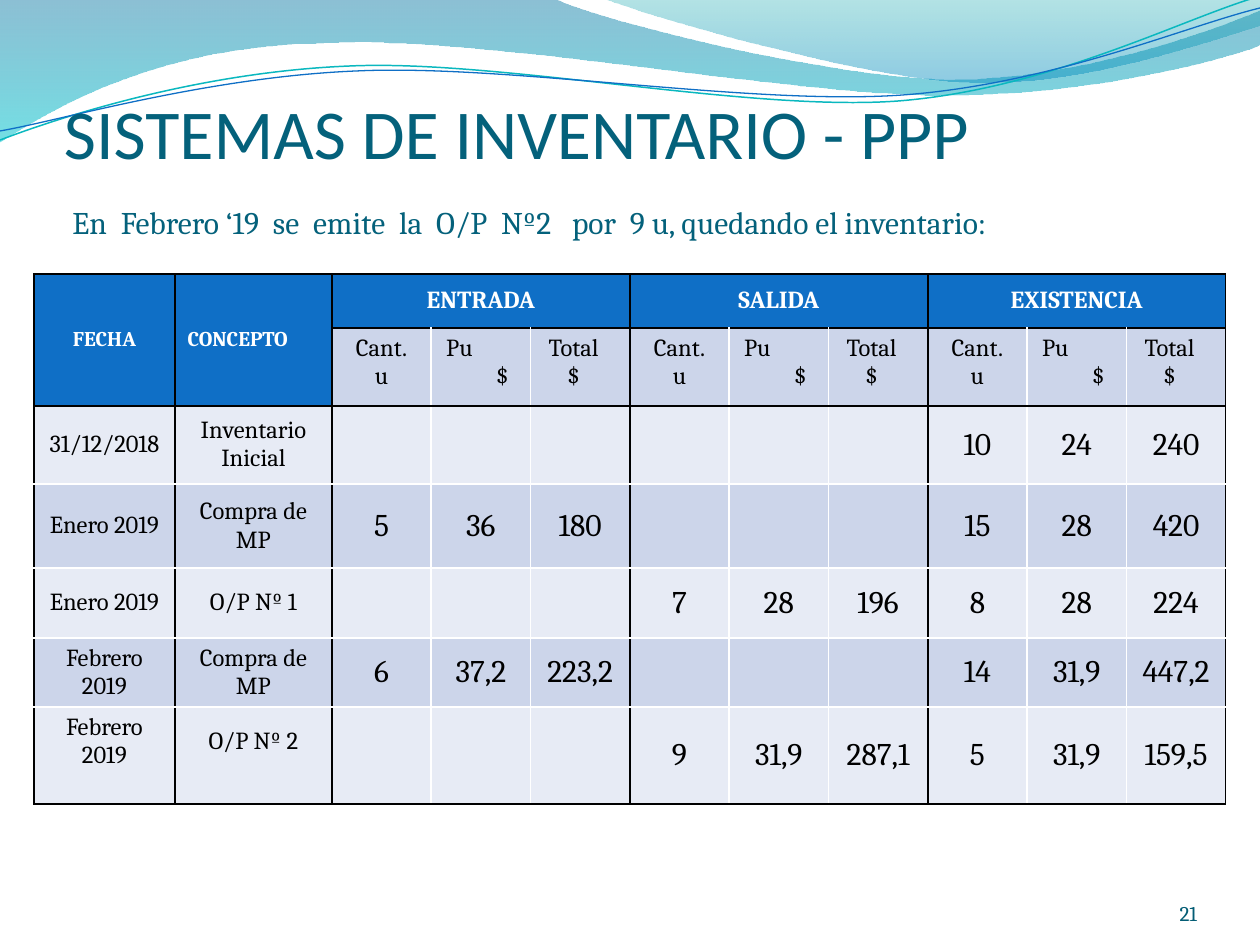
import lxml.etree
import pptx
import pptx.dml.color
import pptx.enum.text
import pptx.oxml.ns
import pptx.util

PX = 914400 // 126
ALIGN = pptx.enum.text.PP_ALIGN
ANCHOR = pptx.enum.text.MSO_ANCHOR
LEFT, CENTER, RIGHT = ALIGN.LEFT, ALIGN.CENTER, ALIGN.RIGHT

TITLE = "SISTEMAS DE INVENTARIO - PPP"
SUBTITLE = "En  Febrero ‘19  se  emite  la  O/P  Nº2   por  9 u, quedando el inventario:"
PAGE_NUMBER = "21"

# Each outline: a start point, then lines (one point) or curves (three points).
BANDS = [
    ([((0, 0),), ((555, -1),), ((600, 21), (837, 79), (955, 79)),
      ((1075, 79), (1207, 33), (1260, 11)), ((1261, 45),),
      ((1239, 55), (1096, 96), (940, 95)), ((784, 95), (481, 35), (324, 43)),
      ((163, 45), (58, 105), (-1, 142))],
     [("0074A1", 45), ("00C6CF", 55)]),
    ([((604, -1),), ((641, 14), (859, 78), (969, 82)),
      ((1083, 87), (1211, 40), (1260, 26)), ((1260, 0),)],
     [("00A1A9", 30), ("008BBF", 45)]),
]
WAVES = [
    ([((0, 140),), ((60, 117), (199, 72), (349, 66)),
      ((498, 59), (747, 112), (898, 101)), ((1049, 89), (1182, 19), (1257, -3))],
     "0AB8BF", 0.85),
    ([((0, 131),), ((59, 121), (207, 77), (357, 71)),
      ((508, 64), (752, 106), (903, 95)), ((1053, 84), (1186, 26), (1260, 8))],
     "0F6FC6", 0.75),
]

GROUPS = ["ENTRADA", "SALIDA", "EXISTENCIA"]
# Lines of each measure, then the side margins of its cell.
MEASURES = [
    ([("Cant.", CENTER), ("u", CENTER)], 13, 13),
    ([("Pu", LEFT), ("$", RIGHT)], 15, 22),
    ([("Total $", CENTER)], 13, 26),
]
NONE = ["", "", ""]
RECORDS = [
    ["31/12/2018", "Inventario Inicial", *NONE, *NONE, "10", "24", "240"],
    ["Enero 2019", "Compra de MP", "5", "36", "180", *NONE, "15", "28", "420"],
    ["Enero 2019", "O/P Nº 1", *NONE, "7", "28", "196", "8", "28", "224"],
    ["Febrero 2019", "Compra de MP", "6", "37,2", "223,2", *NONE, "14", "31,9", "447,2"],
    ["Febrero 2019", "O/P Nº 2", *NONE, "9", "31,9", "287,1", "5", "31,9", "159,5"],
]
GROUP_WIDTH = 298
COLUMN_WIDTHS = [141, 157] + [GROUP_WIDTH / 3] * 9
ROW_HEIGHTS = [54, 78, 78, 84, 70, 69, 97]
BLACK_COLUMN_LINES = {0, 1, 2, 5, 8, 11}
BLACK_ROW_LINES = {0, 1, 2, 7}


def rgb(value):
    return pptx.dml.color.RGBColor.from_string(value)


def add_child(parent, tag, **attributes):
    return lxml.etree.SubElement(parent, pptx.oxml.ns.qn(tag), attributes)


def add_outline(page, outline, close):
    """Draw through the end points, then bend the segments that are curves."""
    ends = [(part[-1][0] * PX, part[-1][1] * PX) for part in outline]
    builder = page.shapes.build_freeform(*ends[0], scale=1.0)
    builder.add_line_segments(ends[1:], close=close)
    shape = builder.convert_to_shape()
    shape.shadow.inherit = False
    segments = list(shape._element.spPr.iter(pptx.oxml.ns.qn("a:lnTo")))
    for segment, part in zip(segments, outline[1:]):
        if len(part) == 3:
            segment.tag = pptx.oxml.ns.qn("a:cubicBezTo")
            for position, (x, y) in enumerate(part[:2]):
                point = add_child(segment, "a:pt", x=str(x * PX - shape.left),
                                  y=str(y * PX - shape.top))
                segment.insert(position, point)
    return shape


def add_band(page, outline, stops):
    band = add_outline(page, outline, True)
    band.line.fill.background()
    band.fill.gradient()
    band.fill.gradient_angle = 270
    for stop, (color, _) in zip(band.fill.gradient_stops, stops):
        stop.color.rgb = rgb(color)
    colors = band._element.spPr.iter(pptx.oxml.ns.qn("a:srgbClr"))
    for element, (_, opacity) in zip(colors, stops):
        add_child(element, "a:alpha", val=str(opacity * 1000))


def add_wave(page, outline, color, width):
    wave = add_outline(page, outline, False)
    wave.fill.background()
    wave.line.color.rgb = rgb(color)
    wave.line.width = pptx.util.Pt(width)


def write(frame, lines, size, color, font="Cambria", bold=False):
    """Write (text, alignment) pairs as paragraphs."""
    for index, (text, alignment) in enumerate(lines):
        para = frame.add_paragraph() if index else frame.paragraphs[0]
        para.alignment = alignment
        span = para.add_run()
        span.text = text
        span.font.name, span.font.size, span.font.bold = font, pptx.util.Pt(size), bold
        span.font.color.rgb = rgb(color)


def place(shape, left, top, width, height):
    shape.left, shape.top, shape.width, shape.height = (
        value * PX for value in (left, top, width, height))


def set_insets(frame, left, top, right, bottom):
    frame.margin_left, frame.margin_top, frame.margin_right, frame.margin_bottom = (
        value * PX for value in (left, top, right, bottom))


def set_borders(cell, row, column):
    header = row == 0
    edges = {
        "a:lnL": header or column in BLACK_COLUMN_LINES,
        "a:lnR": header or column + 1 in BLACK_COLUMN_LINES,
        "a:lnT": row in BLACK_ROW_LINES,
        "a:lnB": row + 1 in BLACK_ROW_LINES,
    }
    properties = cell._tc.get_or_add_tcPr()
    for position, (tag, black) in enumerate(edges.items()):
        line = add_child(properties, tag, w="12700")
        add_child(add_child(line, "a:solidFill"), "a:srgbClr",
                  val="000000" if black else "FFFFFF")
        properties.insert(position, line)


def add_inventory(page):
    table = page.shapes.add_table(
        len(ROW_HEIGHTS), len(COLUMN_WIDTHS), 34 * PX, 274 * PX,
        round(sum(COLUMN_WIDTHS) * PX), sum(ROW_HEIGHTS) * PX).table
    table.first_row = table.horz_banding = False
    for column, width in zip(table.columns, COLUMN_WIDTHS):
        column.width = round(width * PX)
    for row, height in zip(table.rows, ROW_HEIGHTS):
        row.height = height * PX

    for row in range(len(ROW_HEIGHTS)):
        for column in range(len(COLUMN_WIDTHS)):
            cell = table.cell(row, column)
            header = row == 0 or (row == 1 and column < 2)
            cell.fill.solid()
            cell.fill.fore_color.rgb = rgb(
                "0F6FC6" if header else "CCD5EA" if row % 2 else "E7EBF5")
            set_borders(cell, row, column)
            cell.vertical_anchor = ANCHOR.TOP if row == 1 else ANCHOR.MIDDLE

    for column, (label, alignment) in enumerate([("FECHA", CENTER), ("CONCEPTO", LEFT)]):
        cell = table.cell(0, column)
        cell.merge(table.cell(1, column))
        write(cell.text_frame, [(label, alignment)], 12, "FFFFFF", bold=True)
    for group, label in enumerate(GROUPS):
        first = 2 + 3 * group
        cell = table.cell(0, first)
        cell.merge(table.cell(0, first + 2))
        write(cell.text_frame, [(label, CENTER)], 14, "FFFFFF", bold=True)
        for offset, (lines, left, right) in enumerate(MEASURES):
            cell = table.cell(1, first + offset)
            cell.margin_left, cell.margin_right = left * PX, right * PX
            write(cell.text_frame, lines, 14, "000000")
    for row, record in enumerate(RECORDS, start=2):
        for column, text in enumerate(record):
            if text:
                write(table.cell(row, column).text_frame, [(text, CENTER)],
                      14 if column < 2 else 18, "000000")
    for row, bottom in [(5, 5), (6, 33)]:
        for column in (0, 1):
            cell = table.cell(row, column)
            cell.margin_top, cell.margin_bottom = 5 * PX, bottom * PX


def main():
    deck = pptx.Presentation()
    deck.slide_width, deck.slide_height = 1260 * PX, 945 * PX
    page = deck.slides.add_slide(deck.slide_layouts[5])
    for outline, stops in BANDS:
        add_band(page, outline, stops)
    for outline, color, width in WAVES:
        add_wave(page, outline, color, width)

    title = page.shapes.title
    page.shapes._spTree.append(title._element)
    place(title, 64, 84, 1134, 157)
    set_insets(title.text_frame, 0, 6, 0, 0)
    title.text_frame.vertical_anchor = ANCHOR.TOP
    write(title.text_frame, [(TITLE, LEFT)], 40, "04617B", font="Calibri")

    number = page.shapes.add_textbox(1092 * PX, 876 * PX, 105 * PX, 50 * PX).text_frame
    number.word_wrap = True
    set_insets(number, 0, 0, 0, 0)
    number.vertical_anchor = ANCHOR.BOTTOM
    write(number, [(PAGE_NUMBER, RIGHT)], 12, "045D75")

    add_inventory(page)
    subtitle = page.shapes.add_textbox(60 * PX, 197 * PX, 1113 * PX, 50 * PX).text_frame
    subtitle.word_wrap = True
    write(subtitle, [(SUBTITLE, LEFT)], 18, "04617B")
    deck.save("out.pptx")


if __name__ == "__main__":
    main()
